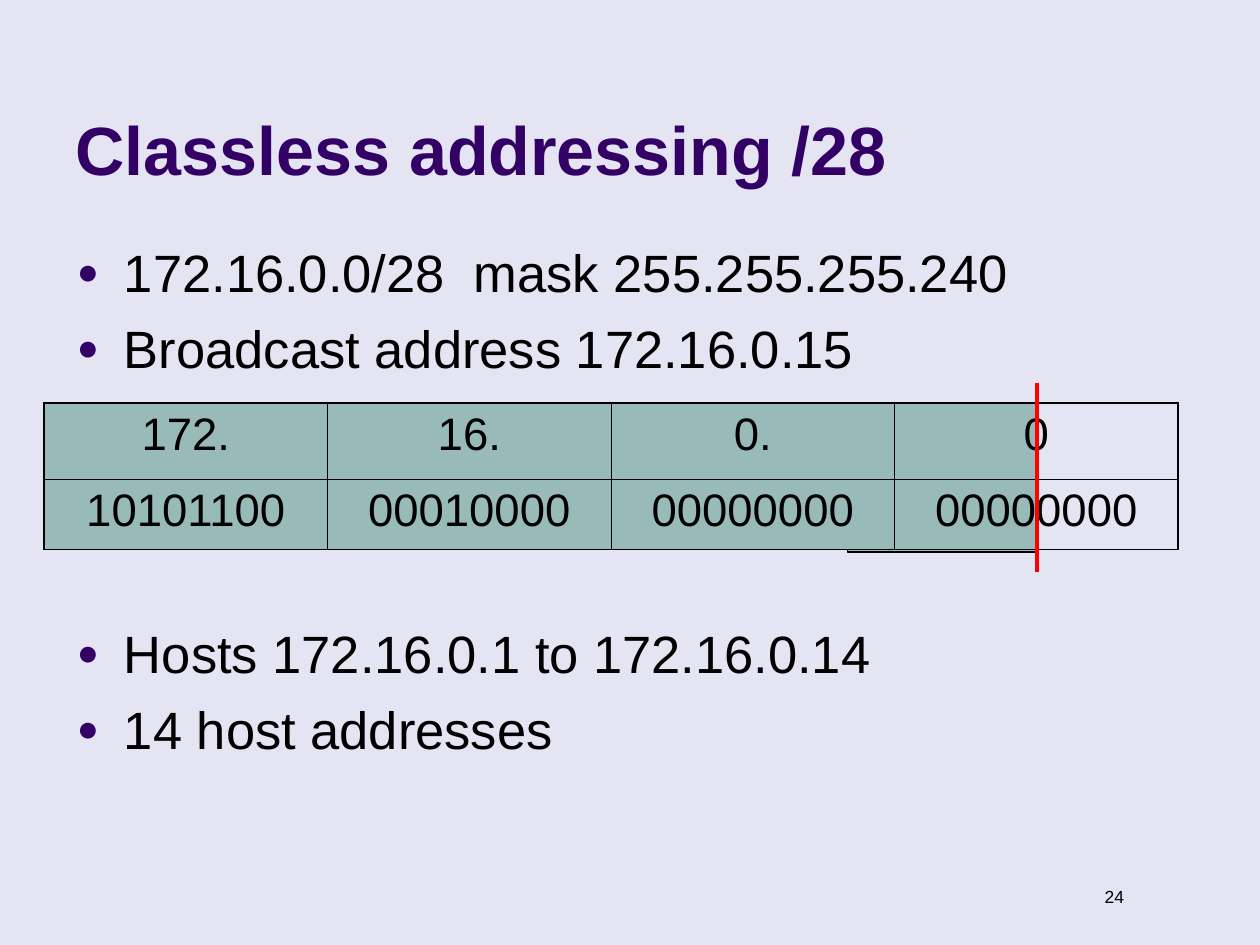
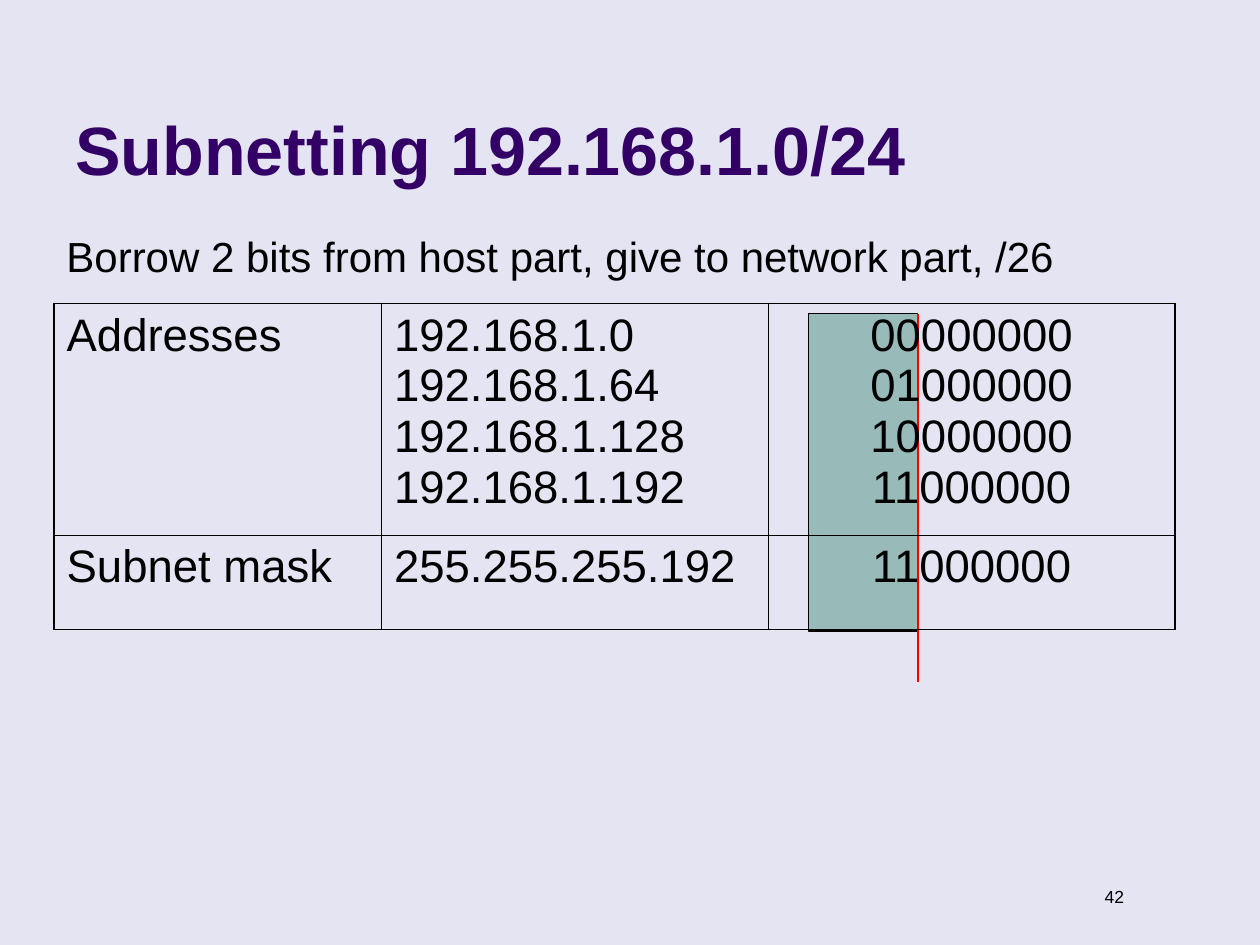
"""Build two slides on classless addressing and subnetting."""
from lxml import etree
from pptx import Presentation
from pptx.dml.color import RGBColor
from pptx.enum.shapes import MSO_CONNECTOR, MSO_SHAPE
from pptx.enum.text import MSO_ANCHOR, PP_ALIGN
from pptx.oxml.ns import qn
from pptx.util import Cm, Pt

LEFT, CENTER, RIGHT = PP_ALIGN.LEFT, PP_ALIGN.CENTER, PP_ALIGN.RIGHT
TOP, BOTTOM = MSO_ANCHOR.TOP, MSO_ANCHOR.BOTTOM
RECTANGLE, STRAIGHT = MSO_SHAPE.RECTANGLE, MSO_CONNECTOR.STRAIGHT

BACKGROUND = RGBColor(0xE4, 0xE4, 0xF2)
PURPLE = RGBColor(0x33, 0x00, 0x66)
TEAL = RGBColor(0x98, 0xBB, 0xBA)
RED = RGBColor(0xFF, 0x00, 0x00)
BLACK = RGBColor(0x00, 0x00, 0x00)
FONT = "Arial"
OUTER_BORDER, INNER_BORDER = 1.08, 0.45

TITLE_BOX = (1.27, 0.33, 20.96, 3.61)
NUMBER_BOX = (21.31, 17.73, 1.6, 0.69)

BULLET_GAP, TABLE_GAP = 7.5, 138
ADDRESSING = {
    "title": "Classless addressing /28",
    "number": "24",
    "bullets": [
        ("172.16.0.0/28  mask 255.255.255.240", BULLET_GAP),
        ("Broadcast address 172.16.0.15", BULLET_GAP),
        ("Hosts 172.16.0.1 to 172.16.0.14", TABLE_GAP),
        ("14 host addresses", BULLET_GAP),
    ],
    "rows": [
        ("172.", "16.", "0.", "0"),
        ("10101100", "00010000", "00000000", "00000000"),
    ],
}
SUBNETTING = {
    "title": "Subnetting 192.168.1.0/24",
    "number": "42",
    "note": "Borrow 2 bits from host part, give to network part, /26",
    "rows": [
        ("Addresses",
         "192.168.1.0\v192.168.1.64\v192.168.1.128\v192.168.1.192",
         "00000000\v01000000\v10000000\v11000000"),
        ("Subnet mask", "255.255.255.192", "11000000"),
    ],
}


def style(paragraph, size, color=BLACK, bold=False, align=LEFT, before=0):
    paragraph.alignment = align
    paragraph.space_before = Pt(before)
    paragraph.font.name = FONT
    paragraph.font.size = Pt(size)
    paragraph.font.bold = bold
    paragraph.font.color.rgb = color


def add_text(slide, box, paragraphs, size, anchor=TOP, **options):
    frame = slide.shapes.add_textbox(*map(Cm, box)).text_frame
    frame.word_wrap = True
    frame.vertical_anchor = anchor
    for index, (text, before) in enumerate(paragraphs):
        paragraph = frame.add_paragraph() if index else frame.paragraphs[0]
        paragraph.text = text
        style(paragraph, size, before=before, **options)
    return frame


def add_bullet(paragraph):
    properties = paragraph._p.get_or_add_pPr()
    properties.set("marL", str(Cm(0.95)))
    properties.set("indent", str(-Cm(0.95)))
    bullet_color = etree.Element(qn("a:buClr"))
    etree.SubElement(bullet_color, qn("a:srgbClr"), val=str(PURPLE))
    bullet_size = etree.Element(qn("a:buSzPct"), val="70000")
    bullet_font = etree.Element(qn("a:buFont"), typeface=FONT)
    bullet_sign = etree.Element(qn("a:buChar"), char="●")
    defaults = properties.find(qn("a:defRPr"))
    for element in (bullet_color, bullet_size, bullet_font, bullet_sign):
        defaults.addprevious(element)


def add_network_part(slide, left, top, width, height):
    shape = slide.shapes.add_shape(RECTANGLE, *map(Cm, (left, top, width, height)))
    shape.shadow.inherit = False
    shape.fill.solid()
    shape.fill.fore_color.rgb = TEAL
    shape.line.color.rgb = BLACK
    shape.line.width = Pt(0.74)


def add_divider(slide, x, top, bottom, width):
    line = slide.shapes.add_connector(STRAIGHT, Cm(x), Cm(top), Cm(x), Cm(bottom))
    line.line.color.rgb = RED
    line.line.width = Pt(width)
    etree.SubElement(line._element.spPr, qn("a:effectLst"))


def set_borders(cell, outer_sides):
    properties = cell._tc.get_or_add_tcPr()
    for side, is_outer in outer_sides.items():
        width = Pt(OUTER_BORDER if is_outer else INNER_BORDER)
        line = etree.SubElement(properties, qn("a:ln" + side), w=str(width))
        fill = etree.SubElement(line, qn("a:solidFill"))
        etree.SubElement(fill, qn("a:srgbClr"), val=str(BLACK))


def add_grid(slide, left, top, widths, heights, rows, alignments, filled_columns=0):
    table = slide.shapes.add_table(
        len(rows), len(widths), Cm(left), Cm(top), Cm(sum(widths)), Cm(sum(heights))
    ).table
    table.first_row = table.horz_banding = False
    for column, width in zip(table.columns, widths):
        column.width = Cm(width)
    for row_index, (texts, height) in enumerate(zip(rows, heights)):
        table.rows[row_index].height = Cm(height)
        for column_index, text in enumerate(texts):
            cell = table.cell(row_index, column_index)
            set_borders(cell, {
                "L": column_index == 0,
                "R": column_index == len(widths) - 1,
                "T": row_index == 0,
                "B": row_index == len(rows) - 1,
            })
            if column_index < filled_columns:
                cell.fill.solid()
                cell.fill.fore_color.rgb = TEAL
            else:
                cell.fill.background()
            paragraph = cell.text_frame.paragraphs[0]
            paragraph.text = text
            style(paragraph, 26, align=alignments[column_index], before=6.5)


def start_slide(presentation, content):
    slide = presentation.slides.add_slide(presentation.slide_layouts[6])
    slide.background.fill.solid()
    slide.background.fill.fore_color.rgb = BACKGROUND
    add_text(slide, NUMBER_BOX, [(content["number"], 6.2)], 10, align=RIGHT)
    add_text(slide, TITLE_BOX, [(content["title"], 0)], 39, BOTTOM, color=PURPLE, bold=True)
    return slide


def build_addressing(presentation):
    slide = start_slide(presentation, ADDRESSING)
    table_top, divider_x, part_width = 8.13, 20.9, 3.81
    add_network_part(slide, divider_x - part_width, table_top, part_width, 3)
    body = add_text(slide, (1.3, 4.72, 22.86, 12.24), ADDRESSING["bullets"], 30)
    for paragraph in body.paragraphs:
        add_bullet(paragraph)
    add_grid(slide, 0.89, table_top, [22.86 / 4] * 4, [1.53, 1.42],
             ADDRESSING["rows"], [CENTER] * 4, filled_columns=3)
    add_divider(slide, divider_x, 7.72, 11.53, 2.24)


def build_subnetting(presentation):
    slide = start_slide(presentation, SUBNETTING)
    left, part_top, divider_x, part_width = 1.09, 6.32, 18.5, 2.2
    add_network_part(slide, divider_x - part_width, part_top, part_width, 6.4)
    add_divider(slide, divider_x, part_top, 13.74, 0.99)
    add_text(slide, (left, 4.52, 22.4, 1.27), [(SUBNETTING["note"], 15)], 24)
    add_grid(slide, left, 6.12, [6.6, 7.8, 8.2], [4.67, 1.9],
             SUBNETTING["rows"], [LEFT, LEFT, CENTER])


presentation = Presentation()
presentation.slide_width, presentation.slide_height = Cm(25.4), Cm(19.05)
build_addressing(presentation)
build_subnetting(presentation)
presentation.save("out.pptx")
